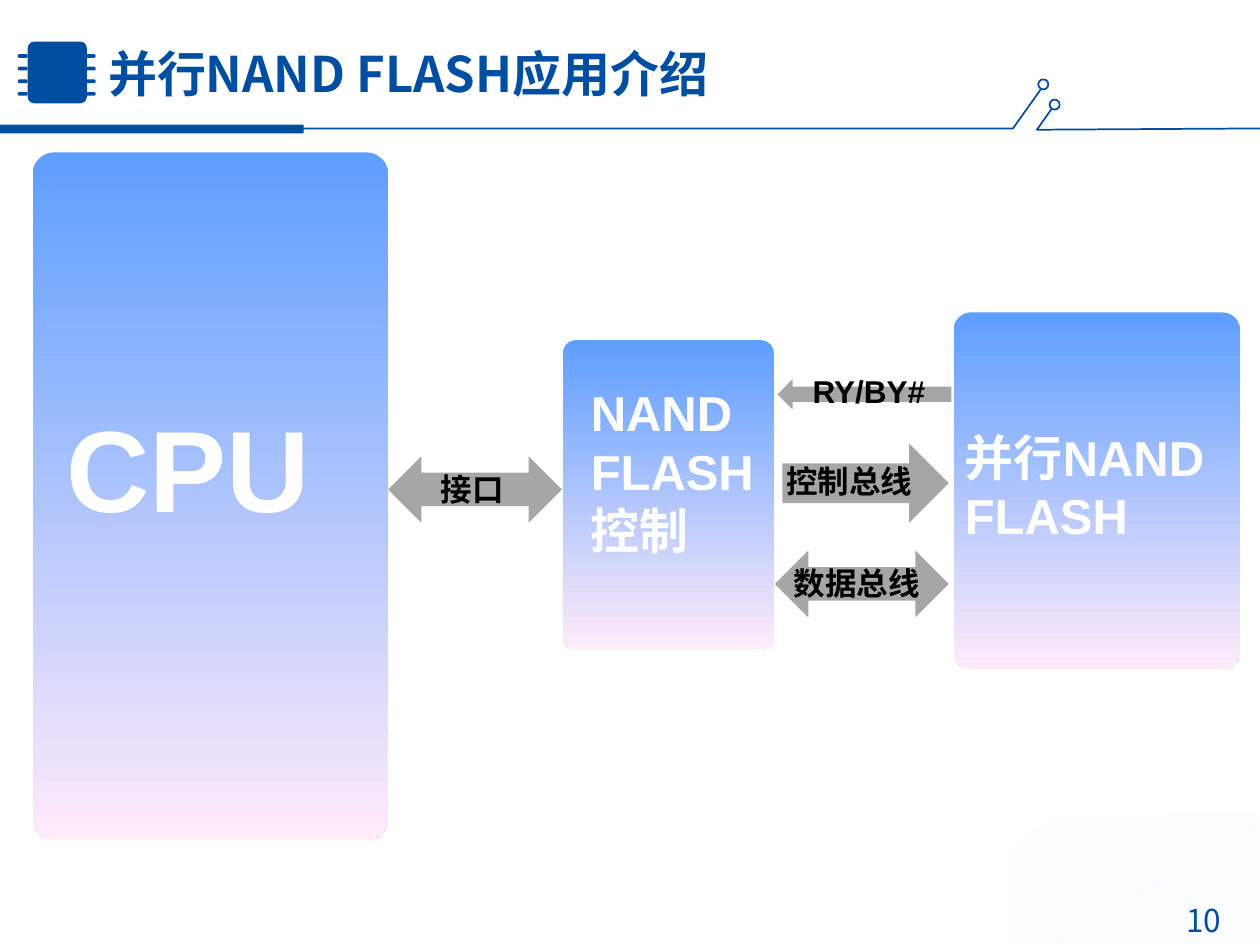
from dataclasses import dataclass

from lxml import etree
from pptx import Presentation
from pptx.dml.color import RGBColor
from pptx.enum.shapes import MSO_SHAPE
from pptx.enum.text import MSO_ANCHOR, MSO_AUTO_SIZE, PP_ALIGN
from pptx.oxml.ns import qn
from pptx.shapes.autoshape import Shape
from pptx.slide import Slide
from pptx.util import Inches, Pt

RECTANGLE = MSO_SHAPE.RECTANGLE
ROUNDED = MSO_SHAPE.ROUNDED_RECTANGLE
OVAL = MSO_SHAPE.OVAL
LEFT_ARROW = MSO_SHAPE.LEFT_ARROW
RIGHT_ARROW = MSO_SHAPE.RIGHT_ARROW
DOUBLE_ARROW = MSO_SHAPE.LEFT_RIGHT_ARROW
LEFT, RIGHT = PP_ALIGN.LEFT, PP_ALIGN.RIGHT
TOP, MIDDLE = MSO_ANCHOR.TOP, MSO_ANCHOR.MIDDLE
GROW = MSO_AUTO_SIZE.SHAPE_TO_FIT_TEXT

BLUE, GRAY, WHITE, BLACK = "004EA2", "A6A6A6", "FFFFFF", "000000"
PANEL_TOP, PANEL_BOTTOM = "5E9EFF", "FFEBFA"
LATIN_FONT, CHINESE_FONT = "Arial", "Noto Sans CJK SC"


@dataclass
class Area:
    left: float
    top: float
    width: float
    height: float

    def lengths(self) -> tuple:
        return tuple(Inches(n) for n in (self.left, self.top, self.width, self.height))


@dataclass
class Label:
    text: str
    area: Area
    size: int
    color: str
    font: str = LATIN_FONT
    bold: bool = True
    align: PP_ALIGN = LEFT
    anchor: MSO_ANCHOR = TOP
    grows: bool = True


@dataclass
class Panel:
    area: Area
    label: Label


@dataclass
class Bus:
    kind: MSO_SHAPE
    area: Area
    label: Label


def rgb(color: str) -> RGBColor:
    return RGBColor.from_string(color)


def add_plain(page: Slide, kind: MSO_SHAPE, area: Area) -> Shape:
    shape = page.shapes.add_shape(kind, *area.lengths())
    shape.shadow.inherit = False
    shape.line.fill.background()
    return shape


def add_solid(page: Slide, kind: MSO_SHAPE, area: Area, color: str) -> Shape:
    shape = add_plain(page, kind, area)
    shape.fill.solid()
    shape.fill.fore_color.rgb = rgb(color)
    return shape


def add_gradient(page: Slide, area: Area, corner: float, colors: tuple, angle: int) -> Shape:
    shape = add_plain(page, ROUNDED, area)
    shape.adjustments[0] = corner
    shape.fill.gradient()
    shape.fill.gradient_angle = angle
    for stop, color in zip(shape.fill.gradient_stops, colors):
        stop.color.rgb = rgb(color)
    return shape


def set_outline(shape: Shape) -> None:
    shape.shadow.inherit = False
    shape.fill.background()
    shape.line.color.rgb = rgb(BLUE)
    shape.line.width = Pt(1)


def add_label(page: Slide, label: Label) -> None:
    box = page.shapes.add_textbox(*label.area.lengths())
    frame = box.text_frame
    frame.word_wrap = True
    frame.vertical_anchor = label.anchor
    if label.grows:
        frame.auto_size = GROW
    para = frame.paragraphs[0]
    para.text = label.text
    para.alignment = label.align
    para.font.name = label.font
    para.font.size = Pt(label.size)
    para.font.bold = label.bold
    para.font.color.rgb = rgb(label.color)
    defaults = para._p.pPr.find(qn("a:defRPr"))
    etree.SubElement(defaults, qn("a:ea")).set("typeface", CHINESE_FONT)


def add_panel(page: Slide, panel: Panel) -> None:
    add_gradient(page, panel.area, 0.06, (PANEL_TOP, PANEL_BOTTOM), 270)
    add_label(page, panel.label)


def add_bus(page: Slide, bus: Bus) -> None:
    add_solid(page, bus.kind, bus.area, GRAY)
    add_label(page, bus.label)


def add_corner_glow(page: Slide) -> None:
    glow = add_gradient(page, Area(8, 6.47, 2, 1.03), 0.045, ("FCFDFE", WHITE), 300)
    glow.rotation = 180
    last_color = list(glow._element.spPr.iter(qn("a:srgbClr")))[-1]
    etree.SubElement(last_color, qn("a:alpha")).set("val", "26000")


def add_chip(page: Slide) -> None:
    body = add_solid(page, ROUNDED, Area(0.22, 0.33, 0.47, 0.49), BLUE)
    body.adjustments[0] = 0.11
    for left in (0.14, 0.68):
        for row in range(4):
            pin = add_solid(page, ROUNDED, Area(left, 0.43 + 0.1 * row, 0.08, 0.03), BLUE)
            pin.adjustments[0] = 0.5


def add_trace(page: Slide, points: list, ring: Area) -> None:
    start, *rest = [(Inches(x), Inches(y)) for x, y in points]
    builder = page.shapes.build_freeform(*start)
    builder.add_line_segments(rest, close=False)
    set_outline(builder.convert_to_shape())
    set_outline(page.shapes.add_shape(OVAL, *ring.lengths()))


def bus_label(text: str, left: float, top: float, width: float = 1.29) -> Label:
    return Label(text, Area(left, top, width, 0.4), 18, BLACK)


TITLE = Label("并行NAND FLASH应用介绍", Area(0.76, 0.16, 8.07, 0.84), 28, BLUE,
              font=CHINESE_FONT, anchor=MIDDLE, grows=False)
PAGE_NUMBER = Label("10", Area(8.75, 7.1, 1.04, 0.46), 18, BLUE,
                    font=CHINESE_FONT, bold=False, align=RIGHT)
PANELS = [
    Panel(Area(0.26, 1.21, 2.82, 5.46),
          Label("CPU", Area(0.43, 3.1, 2.2, 1.2), 66, WHITE)),
    Panel(Area(4.47, 2.7, 1.67, 2.45),
          Label("NAND FLASH控制", Area(4.59, 2.99, 1.69, 1.5), 28, WHITE)),
    Panel(Area(7.57, 2.48, 2.27, 2.83),
          Label("并行NAND FLASH", Area(7.56, 3.34, 2.3, 1.04), 28, WHITE)),
]
BUSES = [
    Bus(DOUBLE_ARROW, Area(3.08, 3.62, 1.38, 0.53), bus_label("接口", 3.4, 3.68)),
    Bus(LEFT_ARROW, Area(6.17, 3.01, 1.38, 0.24), bus_label("RY/BY#", 6.35, 2.9)),
    Bus(RIGHT_ARROW, Area(6.21, 3.52, 1.32, 0.63), bus_label("控制总线", 6.14, 3.62, 1.37)),
    Bus(DOUBLE_ARROW, Area(6.15, 4.37, 1.38, 0.53), bus_label("数据总线", 6.2, 4.43)),
]


def main() -> None:
    deck = Presentation()
    deck.slide_width, deck.slide_height = Inches(10), Inches(7.5)
    page = deck.slides.add_slide(deck.slide_layouts[6])
    add_corner_glow(page)
    add_solid(page, RECTANGLE, Area(0, 0.99, 2.41, 0.07), BLUE)
    add_trace(page, [(8.26, 0.71), (8.04, 1.02), (1.26, 1.02)], Area(8.24, 0.63, 0.08, 0.08))
    add_trace(page, [(8.35, 0.86), (8.23, 1.03), (10, 1.02)], Area(8.33, 0.79, 0.08, 0.08))
    add_chip(page)
    add_label(page, TITLE)
    for panel in PANELS:
        add_panel(page, panel)
    for bus in BUSES:
        add_bus(page, bus)
    add_label(page, PAGE_NUMBER)
    deck.save("out.pptx")


if __name__ == "__main__":
    main()
